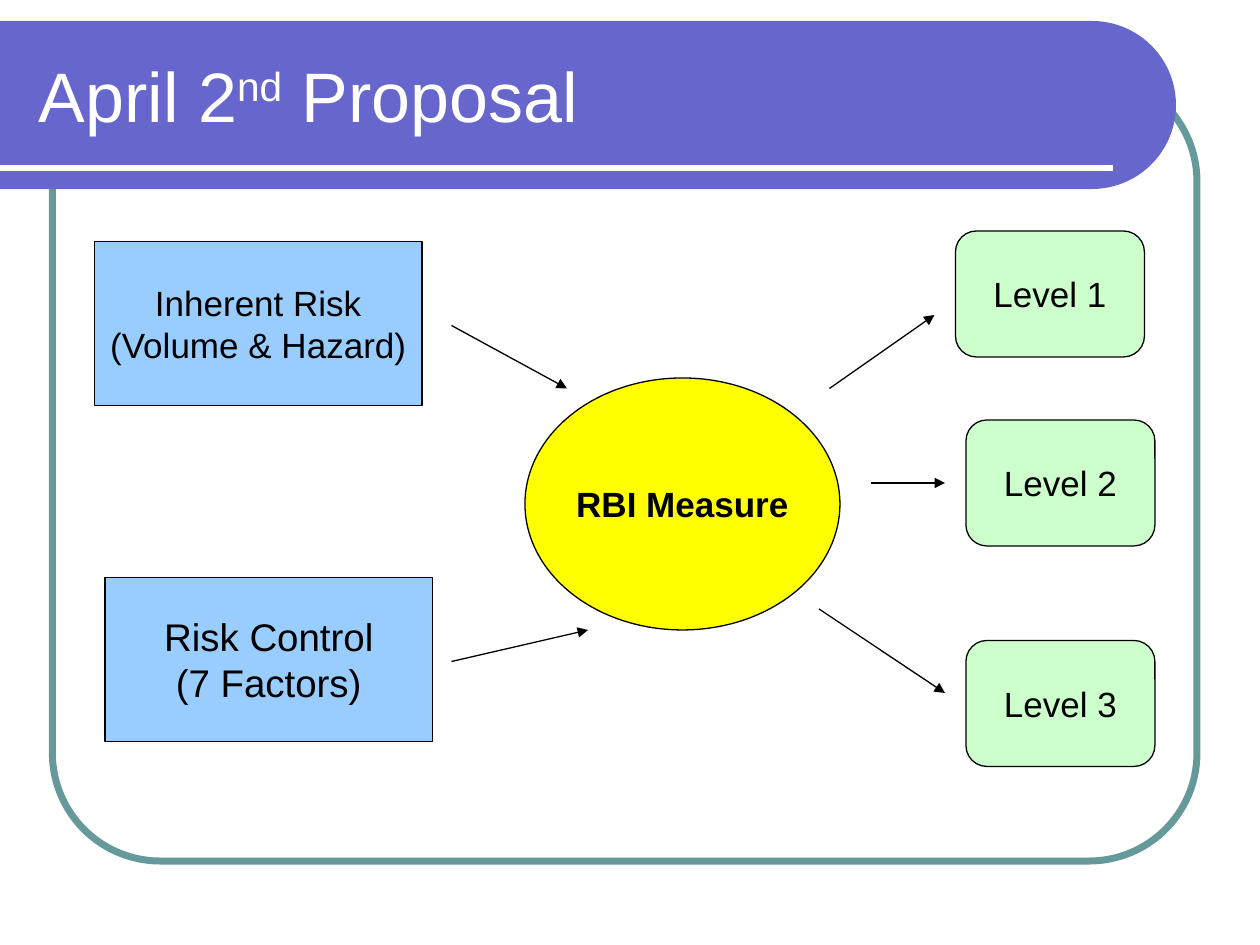
from math import cos, pi, sin

from lxml.etree import SubElement
from pptx import Presentation
from pptx.dml.color import RGBColor
from pptx.enum.shapes import MSO_CONNECTOR as Connector, MSO_SHAPE as Shape
from pptx.enum.text import MSO_ANCHOR as Anchor, MSO_AUTO_SIZE as AutoSize, PP_ALIGN as Align
from pptx.oxml.ns import qn
from pptx.util import Pt

FONT = "Arial"
BLACK, WHITE = "000000", "FFFFFF"
BLUE, YELLOW, GREEN = "99CCFF", "FFFF00", "CCFFCC"
TEAL, PURPLE = "669999", "6666CC"


def color(value):
    """Turn a hex string into a colour."""
    return RGBColor.from_string(value)


def style_font(font, size, value, bold=False):
    """Set the face, size, colour and weight of a font."""
    font.name, font.size, font.bold = FONT, Pt(size), bold
    font.color.rgb = color(value)


def style_shape(shape, fill=None, line=None, width=0.75):
    """Set fill and outline, leaving out whichever is not given."""
    shape.shadow.inherit = False
    if fill:
        shape.fill.solid()
        shape.fill.fore_color.rgb = color(fill)
    else:
        shape.fill.background()
    if line:
        shape.line.color.rgb = color(line)
        shape.line.width = Pt(width)
    else:
        shape.line.fill.background()


def add_line(page, start, end, value=BLACK, width=0.75, arrow=False):
    """Draw a straight line, with an arrowhead at its end if asked."""
    line = page.shapes.add_connector(Connector.STRAIGHT, *map(Pt, start + end))
    line.line.color.rgb = color(value)
    line.line.width = Pt(width)
    properties = line._element.spPr
    if arrow:
        SubElement(properties.get_or_add_ln(), qn("a:tailEnd"), type="triangle")
    SubElement(properties, qn("a:effectLst"))


def add_node(page, kind, box, lines, fill, size=20, bold=False):
    """Draw an outlined shape with centred lines of text."""
    node = page.shapes.add_shape(kind, *map(Pt, box))
    style_shape(node, fill, BLACK)
    frame = node.text_frame
    frame.word_wrap = False
    frame.vertical_anchor = Anchor.MIDDLE
    frame.text = "\n".join(lines)
    for para in frame.paragraphs:
        para.alignment = Align.CENTER
        style_font(para.font, size, BLACK, bold)


def add_border(page, box):
    """Draw the rounded border around the content."""
    border = page.shapes.add_shape(Shape.ROUNDED_RECTANGLE, *map(Pt, box))
    border.adjustments[0] = 0.137
    style_shape(border, line=TEAL, width=4)


def add_banner(page, box):
    """Draw the band with a round right end and a white rule."""
    left, top, width, height = box
    radius = height / 2
    center_x, center_y = left + width - radius, top + radius
    steps = 48
    angles = [pi * step / steps - pi / 2 for step in range(steps + 1)]
    arc = [(center_x + radius * cos(angle), center_y + radius * sin(angle)) for angle in angles]
    outline = [(Pt(x), Pt(y)) for x, y in arc + [(left, top + height)]]
    builder = page.shapes.build_freeform(Pt(left), Pt(top))
    builder.add_line_segments(outline, close=True)
    style_shape(builder.convert_to_shape(), PURPLE)
    rule_y = top + height - 12
    add_line(page, (left, rule_y), (left + width - 36, rule_y), WHITE, 3)


def add_title(page, box):
    """Place the title over the banner, with a raised ordinal."""
    title = page.shapes.title
    title.left, title.top, title.width, title.height = map(Pt, box)
    frame = title.text_frame
    frame.auto_size = AutoSize.NONE
    frame.word_wrap = True
    frame.vertical_anchor = Anchor.MIDDLE
    para = frame.paragraphs[0]
    para.alignment = Align.LEFT
    for text, baseline in (("April 2", 0), ("nd", 30000), (" Proposal", 0)):
        span = para.add_run()
        span.text = text
        if baseline:
            span._r.get_or_add_rPr().set("baseline", str(baseline))
    style_font(para.font, 40, WHITE)
    page.shapes._spTree.append(title._element)


def add_diagram(page, box):
    """Draw inputs, measure and levels, joined by arrows."""
    left, top = box[:2]
    inputs = [
        (0, 6, ("Inherent Risk", "(Volume & Hazard)"), 20),
        (6, 198, ("Risk Control", "(7 Factors)"), 22),
    ]
    for x, y, lines, size in inputs:
        add_node(page, Shape.RECTANGLE, (left + x, top + y, 187.2, 93.6), lines, BLUE, size)
    measure = (left + 246, top + 84, 180, 144)
    add_node(page, Shape.OVAL, measure, ["RBI Measure"], YELLOW, bold=True)
    for number, (x, y) in enumerate([(492, 0), (498, 108), (498, 234)], 1):
        level = (left + x, top + y, 108, 72)
        add_node(page, Shape.FLOWCHART_ALTERNATE_PROCESS, level, [f"Level {number}"], GREEN)
    arrows = [
        ((204, 54), (270, 90)),
        ((204, 246), (282, 228)),
        ((420, 90), (480, 48)),
        ((444, 144), (486, 144)),
        ((414, 216), (486, 264)),
    ]
    for start, end in arrows:
        add_line(page, *((left + x, top + y) for x, y in (start, end)), arrow=True)


def main():
    """Build the deck and save it."""
    deck = Presentation()
    deck.slide_width, deck.slide_height = Pt(720), Pt(540)
    page = deck.slides.add_slide(deck.slide_layouts[5])
    add_border(page, (30, 42, 654, 450))
    add_banner(page, (0, 12, 672, 96))
    add_title(page, (15, 18, 631.5, 72))
    add_diagram(page, (54, 132, 606, 306))
    deck.save("out.pptx")


if __name__ == "__main__":
    main()
